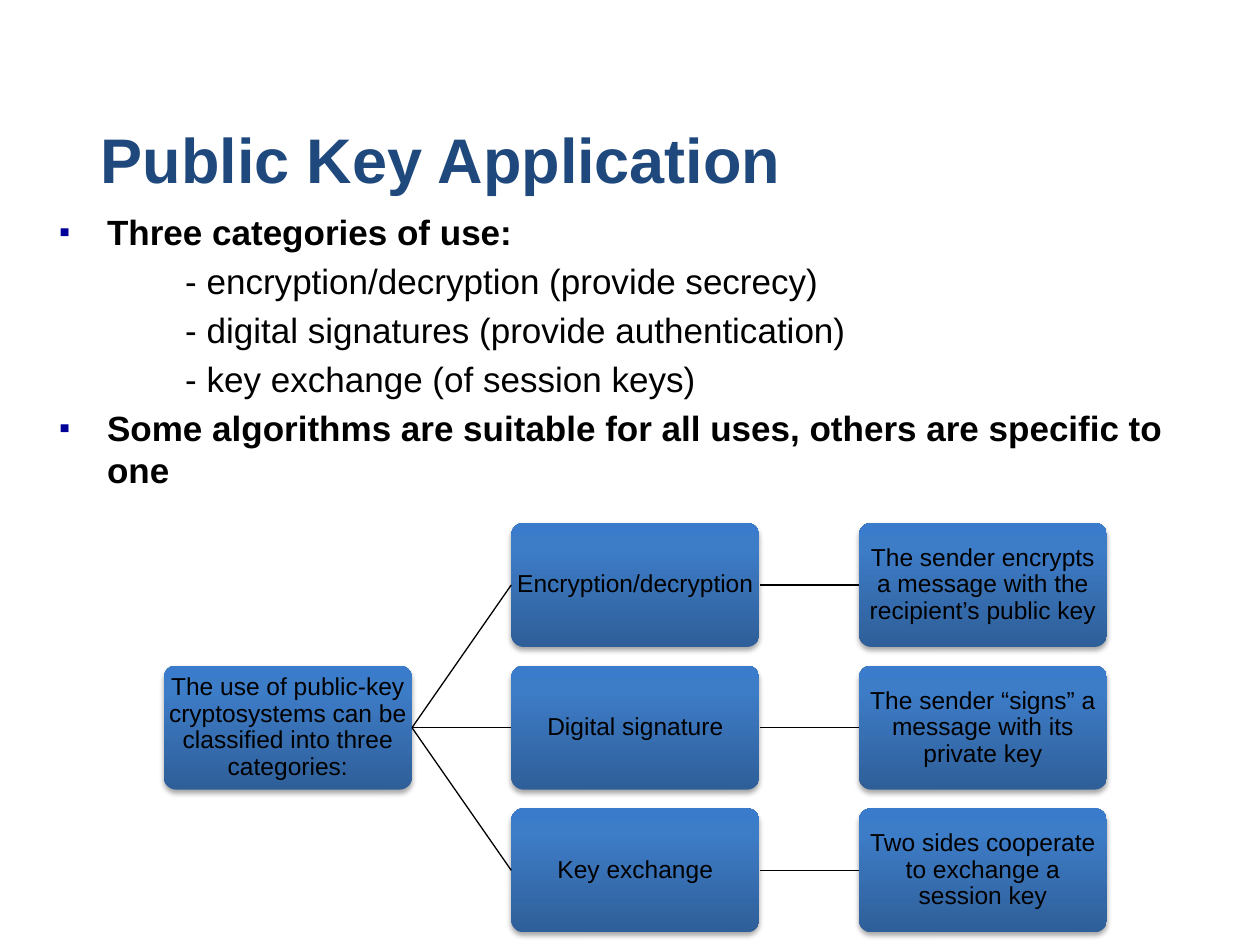
"""Build a slide on the three uses of public-key cryptosystems."""
from dataclasses import dataclass

from lxml import etree
from pptx import Presentation
from pptx.dml.color import RGBColor
from pptx.enum.shapes import MSO_CONNECTOR, MSO_SHAPE
from pptx.enum.text import MSO_ANCHOR, MSO_AUTO_SIZE, PP_ALIGN
from pptx.oxml import parse_xml
from pptx.oxml.ns import nsdecls, qn
from pptx.util import Inches, Pt

ROUNDED = MSO_SHAPE.ROUNDED_RECTANGLE
STRAIGHT = MSO_CONNECTOR.STRAIGHT
LEFT, CENTER = PP_ALIGN.LEFT, PP_ALIGN.CENTER
MIDDLE, BOTTOM = MSO_ANCHOR.MIDDLE, MSO_ANCHOR.BOTTOM
NO_AUTOFIT = MSO_AUTO_SIZE.NONE
LEFT_SITE, RIGHT_SITE = 1, 3

TITLE = "Public Key Application"
BODY = [
    ("Three categories of use:", True),
    ("- encryption/decryption (provide secrecy)", False),
    ("- digital signatures (provide authentication)", False),
    ("- key exchange (of session keys)", False),
    ("Some algorithms are suitable for all uses, others are specific to one", True),
]
ROOT = "The use of public-key cryptosystems can be classified into three categories:"
BRANCHES = [
    ("Encryption/decryption", "The sender encrypts a message with the recipient’s public key"),
    ("Digital signature", "The sender “signs” a message with its private key"),
    ("Key exchange", "Two sides cooperate to exchange a session key"),
]

TITLE_AREA = (0.7, 1, 9.21, 0.61)
BODY_AREA = (0.37, 1.62, 9.34, 4.77)
TREE_LEFT, TREE_TOP = 1.3, 4.15
BOX_WIDTH = 1.97
BOX_HEIGHT = BOX_WIDTH / 2
COLUMN_STEP = BOX_WIDTH * 1.4
ROW_STEP = BOX_HEIGHT * 1.15


@dataclass(frozen=True)
class Theme:
    font: str = "Arial"
    title_color: str = "1F497D"
    text_color: str = "000000"
    bullet_color: str = "000099"
    gradient: tuple = ((0, "2F5F99"), (80, "3D7CC7"), (100, "3A7CCB"))
    title_size: int = 36
    body_size: int = 20
    box_size: int = 14


THEME = Theme()


def set_font(paragraph, size, color, bold=False):
    font = paragraph.font
    font.name, font.size, font.bold = THEME.font, Pt(size), bold
    font.color.rgb = RGBColor.from_string(color)


def place(shape, area):
    shape.left, shape.top, shape.width, shape.height = map(Inches, area)


def set_bullet(paragraph, bulleted):
    properties = paragraph._p.get_or_add_pPr()
    properties.set("marL", str(Inches(0.38 if bulleted else 1)))
    properties.set("indent", str(Inches(-0.38 if bulleted else 0)))
    if not bulleted:
        etree.SubElement(properties, qn("a:buNone"))
        return
    color = etree.SubElement(properties, qn("a:buClr"))
    etree.SubElement(color, qn("a:srgbClr"), val=THEME.bullet_color)
    etree.SubElement(properties, qn("a:buSzPct"), val="90000")
    etree.SubElement(properties, qn("a:buFont"), typeface=THEME.font)
    etree.SubElement(properties, qn("a:buChar"), char="▪")


def add_title(slide):
    title = slide.shapes.title
    place(title, TITLE_AREA)
    frame = title.text_frame
    frame.text = TITLE
    frame.auto_size, frame.vertical_anchor = NO_AUTOFIT, BOTTOM
    paragraph = frame.paragraphs[0]
    paragraph.alignment = LEFT
    set_font(paragraph, THEME.title_size, THEME.title_color, True)


def add_body(slide):
    body = slide.placeholders[1]
    place(body, BODY_AREA)
    frame = body.text_frame
    frame.text = "\n".join(text for text, _ in BODY)
    frame.auto_size = NO_AUTOFIT
    for paragraph, (_, is_heading) in zip(frame.paragraphs, BODY):
        paragraph.space_before = Pt(THEME.body_size * 0.2)
        set_bullet(paragraph, is_heading)
        set_font(paragraph, THEME.body_size, THEME.text_color, is_heading)


def style_box(box):
    box.adjustments[0] = 0.1
    box.line.fill.background()
    stops = "".join(
        f'<a:gs pos="{position * 1000}"><a:srgbClr val="{color}"/></a:gs>'
        for position, color in THEME.gradient
    )
    properties = box._element.spPr
    properties.find(qn("a:ln")).addprevious(parse_xml(
        f'<a:gradFill {nsdecls("a")} rotWithShape="1"><a:gsLst>{stops}</a:gsLst>'
        '<a:lin ang="16200000" scaled="0"/></a:gradFill>'
    ))
    box.shadow.inherit = False
    properties.find(qn("a:effectLst")).append(parse_xml(
        f'<a:outerShdw {nsdecls("a")} blurRad="{Pt(3.1)}" dist="{Pt(1.8)}" dir="5400000" '
        'rotWithShape="0"><a:srgbClr val="000000"><a:alpha val="35000"/></a:srgbClr>'
        '</a:outerShdw>'
    ))


def add_box(slide, column, row, text):
    left, top = TREE_LEFT + column * COLUMN_STEP, TREE_TOP + row * ROW_STEP
    box = slide.shapes.add_shape(
        ROUNDED, *map(Inches, (left, top, BOX_WIDTH, BOX_HEIGHT)))
    style_box(box)
    frame = box.text_frame
    frame.text = text
    frame.word_wrap, frame.vertical_anchor = True, MIDDLE
    frame.margin_left = frame.margin_right = Inches(0.01)
    frame.margin_top = frame.margin_bottom = Inches(0.01)
    paragraph = frame.paragraphs[0]
    paragraph.alignment, paragraph.line_spacing = CENTER, 0.9
    set_font(paragraph, THEME.box_size, THEME.text_color)
    return box


def join(slide, parent, child):
    connector = slide.shapes.add_connector(STRAIGHT, 0, 0, 0, 0)
    connector.begin_connect(parent, RIGHT_SITE)
    connector.end_connect(child, LEFT_SITE)
    connector.line.color.rgb = RGBColor.from_string(THEME.text_color)
    connector.line.width = Pt(0.75)
    etree.SubElement(connector._element.spPr, qn("a:effectLst"))


def add_tree(slide):
    root = add_box(slide, 0, (len(BRANCHES) - 1) / 2, ROOT)
    for row, (category, use) in enumerate(BRANCHES):
        category_box = add_box(slide, 1, row, category)
        use_box = add_box(slide, 2, row, use)
        join(slide, root, category_box)
        join(slide, category_box, use_box)


def main():
    presentation = Presentation()
    presentation.slide_width, presentation.slide_height = Inches(10), Inches(7.5)
    slide = presentation.slides.add_slide(presentation.slide_layouts[1])
    add_title(slide)
    add_body(slide)
    add_tree(slide)
    presentation.save("out.pptx")


if __name__ == "__main__":
    main()
